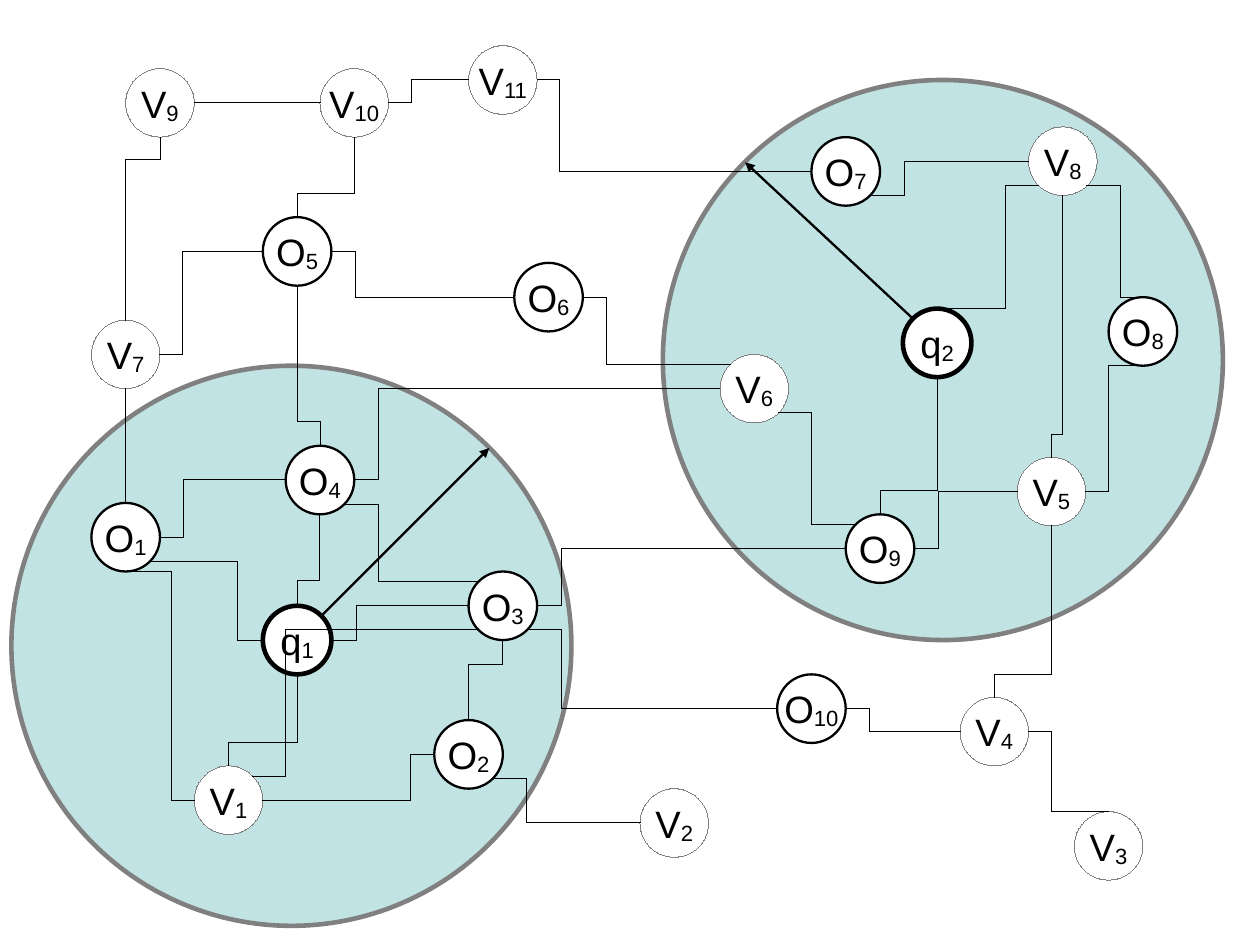
import pptx
import pptx.util
import pptx.dml.color
import pptx.enum.shapes
import pptx.enum.text
import pptx.oxml
import pptx.oxml.ns
import lxml.etree

PX = 9144  # EMU per px, 100 px to the inch
SLIDE_SIZE = (10080625, 7559675)  # EMU, the 28 by 21 cm screen format
COLORS = {"region": "33A3A3", "grey": "808080", "black": "000000", "white": "FFFFFF"}
RADIUS = 30
DIAGONAL = 21

# Per first letter of a node: outline, inner margins and length of a wire's first leg
KINDS = {
    "O": {"line": "black", "width": 1.45, "margin_x": 11, "margin_y": 6, "lead": 21},
    "V": {"line": "grey", "width": 0, "margin_x": 10, "margin_y": 5, "lead": 20},
    "q": {"line": "black", "width": 2.89, "margin_x": 12, "margin_y": 7, "lead": 22},
}
REGIONS = [(10, 320), (580, 70)]
REGION_SIZE = 490

# Node centres
NODES = {
    "O10": (710, 620), "O9": (770, 480), "O2": (410, 660), "O3": (440, 530),
    "O4": (280, 420), "V2": (590, 720), "O1": (110, 470), "V10": (310, 90),
    "q1": (260, 560), "O8": (1000, 290), "V5": (920, 430), "V6": (660, 340),
    "O7": (740, 150), "V1": (200, 700), "O6": (480, 260), "O5": (260, 220),
    "V11": (440, 70), "V9": (140, 90), "V8": (930, 141), "V4": (870, 640),
    "V7": (110, 310), "q2": (820, 300), "V3": (970, 740),
}
SIDES = {
    "n": (0, -RADIUS), "s": (0, RADIUS), "w": (-RADIUS, 0), "e": (RADIUS, 0),
    "nw": (-DIAGONAL, -DIAGONAL), "ne": (DIAGONAL, -DIAGONAL),
    "sw": (-DIAGONAL, DIAGONAL), "se": (DIAGONAL, DIAGONAL),
}
# Start node, its side, end node, its side
WIRES = [
    "V1 n q1 s", "q1 n O4 s", "O4 n O5 s", "O1 n V7 s", "O1 e O4 w",
    "q1 e O3 w", "O2 w V1 e", "V9 s V7 n", "V7 e O5 w", "O5 n V10 s",
    "O5 e O6 w", "O4 e V6 w", "O3 e O9 w", "V6 se O9 nw", "O9 n q2 s",
    "V5 e O8 s", "V8 se O8 n", "V8 sw q2 n", "O7 se V8 w", "V5 n V8 s",
    "q1 w O1 se", "V1 ne O3 sw", "O4 se O3 nw", "O3 s O2 n", "O6 e V6 nw",
    "V9 e V10 w", "V10 e V11 w", "V11 e O7 w", "O2 se V2 w", "O3 se O10 w",
    "O10 e V4 w", "V4 e V3 n", "V4 n V5 s", "O9 e V5 w", "V1 w O1 s",
]
RANGES = [("q1", "ne", (428, 392)), ("q2", "nw", (652, 142))]


def px(*lengths):
    return [round(length * PX) for length in lengths]


def color(name):
    return pptx.dml.color.RGBColor.from_string(COLORS[name])


def set_line(shape, line, width):
    """Colour the line and write its width, since a hairline's 0 must be explicit."""
    shape.line.color.rgb = color(line)
    shape.line._get_or_add_ln().set("w", str(int(pptx.util.Pt(width))))


def add_circle(slide, left, top, size, fill, line, width):
    circle = slide.shapes.add_shape(
        pptx.enum.shapes.MSO_SHAPE.OVAL, *px(left, top, size, size))
    circle.shadow.inherit = False
    circle.fill.solid()
    circle.fill.fore_color.rgb = color(fill)
    set_line(circle, line, width)
    return circle


def add_region(slide, left, top):
    region = add_circle(slide, left, top, REGION_SIZE, "region", "grey", 2.89)
    tint = region._element.spPr.find(
        pptx.oxml.ns.qn("a:solidFill")).find(pptx.oxml.ns.qn("a:srgbClr"))
    lxml.etree.SubElement(tint, pptx.oxml.ns.qn("a:alpha"), val="30000")


def add_node(slide, name, x, y):
    """Add a labelled circle whose number is set as a subscript."""
    kind = KINDS[name[0]]
    node = add_circle(slide, x - RADIUS, y - RADIUS, 2 * RADIUS,
                      "white", kind["line"], kind["width"])
    margin_x, margin_y = px(kind["margin_x"], kind["margin_y"])
    label_format = {
        "margin_left": margin_x, "margin_right": margin_x,
        "margin_top": margin_y, "margin_bottom": margin_y,
        "word_wrap": False,
        "vertical_anchor": pptx.enum.text.MSO_ANCHOR.MIDDLE,
    }
    for attribute, value in label_format.items():
        setattr(node.text_frame, attribute, value)
    label = node.text_frame.paragraphs[0]
    label.alignment = pptx.enum.text.PP_ALIGN.CENTER
    for text in (name[0], name[1:]):
        run = label.add_run()
        run.text = text
        font_format = {"name": "Arial", "size": pptx.util.Pt(24)}
        for attribute, value in font_format.items():
            setattr(run.font, attribute, value)
        run.font.color.rgb = color("black")
    run.font._element.set("baseline", "-8000")


def side_point(name, side):
    return tuple(c + offset for c, offset in zip(NODES[name], SIDES[side]))


def add_line(slide, form, begin, end, width):
    line = slide.shapes.add_connector(form, *px(*begin, *end))
    set_line(line, "black", width)
    lxml.etree.SubElement(line._element.spPr, pptx.oxml.ns.qn("a:effectLst"))
    return line


def add_wire(slide, start, start_side, target, target_side):
    """Join two nodes by a straight line, or by an elbow bent after its first leg."""
    forms = pptx.enum.shapes.MSO_CONNECTOR
    begin, end = side_point(start, start_side), side_point(target, target_side)
    dx, dy = end[0] - begin[0], end[1] - begin[1]
    if dx == 0 or dy == 0:
        add_line(slide, forms.STRAIGHT, begin, end, 0)
        return

    if start_side in ("n", "s"):
        along, across = abs(dy), abs(dx)
        turn = 270 if dx < 0 and dy < 0 else 90
        flips = {"flipH": dy < 0 < dx, "flipV": dy < 0}
    else:
        along, across = abs(dx), abs(dy)
        turn = 180 if dx < 0 else 0
        flips = {"flipV": dx * dy < 0}
    left = (begin[0] + end[0] - along) / 2
    top = (begin[1] + end[1] - across) / 2
    wire = add_line(slide, forms.ELBOW, (left, top), (left + along, top + across), 0)

    frame = wire._element.spPr.find(pptx.oxml.ns.qn("a:xfrm"))
    frame.set("rot", str(turn * 60000))
    for flip, is_set in flips.items():
        if is_set:
            frame.set(flip, "1")

    lead = KINDS[start[0]]["lead"] + (RADIUS - DIAGONAL) * (len(start_side) - 1)
    geometry = wire._element.spPr.find(pptx.oxml.ns.qn("a:prstGeom"))
    adjustments = geometry.find(pptx.oxml.ns.qn("a:avLst"))
    if adjustments is None:
        adjustments = lxml.etree.SubElement(geometry, pptx.oxml.ns.qn("a:avLst"))
    lxml.etree.SubElement(adjustments, pptx.oxml.ns.qn("a:gd"), name="adj1",
                          fmla=f"val {round(100000 * lead / along)}")


def add_range_arrow(slide, query, side, tip):
    arrow = add_line(slide, pptx.enum.shapes.MSO_CONNECTOR.STRAIGHT,
                     side_point(query, side), tip, 1.45)
    lxml.etree.SubElement(arrow.line._get_or_add_ln(),
                          pptx.oxml.ns.qn("a:tailEnd"), type="triangle")


def main():
    presentation = pptx.Presentation()
    presentation.slide_width, presentation.slide_height = SLIDE_SIZE
    slide = presentation.slides.add_slide(presentation.slide_layouts[6])
    for corner in REGIONS:
        add_region(slide, *corner)
    for name, centre in NODES.items():
        add_node(slide, name, *centre)
    for wire in WIRES:
        add_wire(slide, *wire.split())
    for search_range in RANGES:
        add_range_arrow(slide, *search_range)
    presentation.save("out.pptx")


if __name__ == "__main__":
    main()
